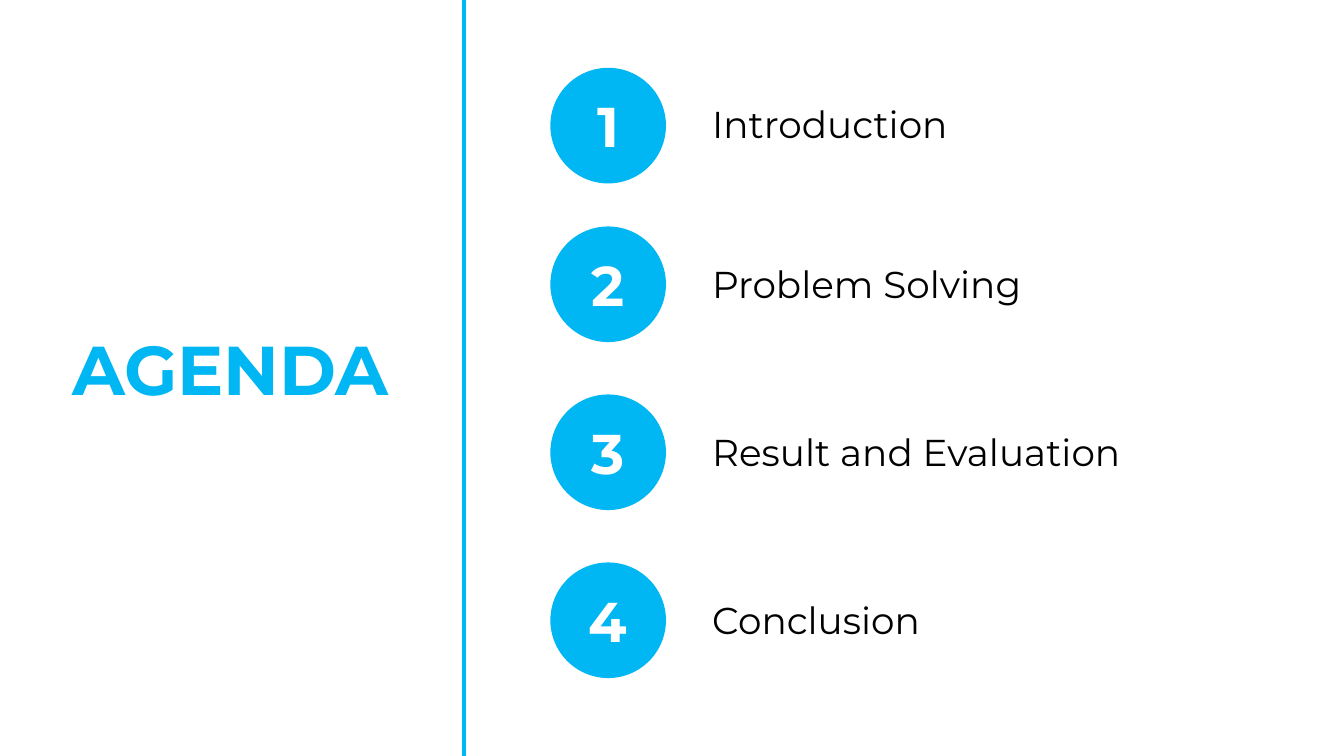
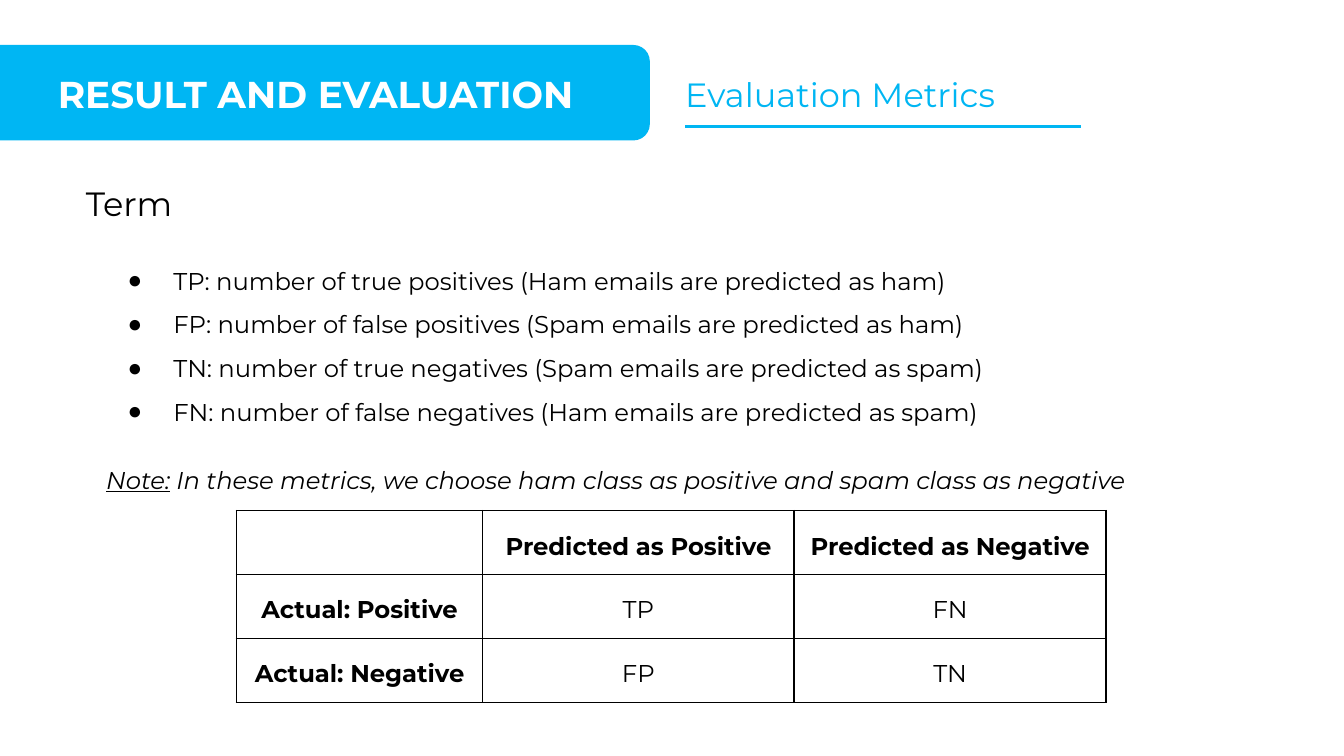
from lxml import etree
from pptx import Presentation
from pptx import util as u
from pptx.dml.color import RGBColor
from pptx.enum import shapes, text
from pptx.oxml.ns import qn

FONT = "Montserrat"
BLUE, WHITE, BLACK = "00B6F3", "FFFFFF", "000000"
LEFT, CENTER, JUSTIFY = text.PP_ALIGN.LEFT, text.PP_ALIGN.CENTER, text.PP_ALIGN.JUSTIFY
TITLE_ONLY, TITLE_AND_CONTENT = 5, 1
SLIDE_WIDTH = 10
SLIDE_HEIGHT = SLIDE_WIDTH * 9 / 16

# topic, top of its circle, top of its label
AGENDA = [
    ("Introduction", 0.51, 0.65),
    ("Problem Solving", 1.69, 1.84),
    ("Result and Evaluation", 2.94, 3.09),
    ("Conclusion", 4.19, 4.34),
]
TERMS = [
    "TP: number of true positives (Ham emails are predicted as ham)",
    "FP: number of false positives (Spam emails are predicted as ham)",
    "TN: number of true negatives (Spam emails are predicted as spam)",
    "FN: number of false negatives (Ham emails are predicted as spam)",
]
NOTE = " In these metrics, we choose ham class as positive and spam class as negative"
CONFUSION_MATRIX = [
    ["", "Predicted as Positive", "Predicted as Negative"],
    ["Actual: Positive", "TP", "FN"],
    ["Actual: Negative", "FP", "TN"],
]


def rgb(color):
    return RGBColor.from_string(color)


def set_values(target, values):
    for name, value in values.items():
        setattr(target, name, value)


def add_run(paragraph, words, size, color=BLACK, **font_values):
    run = paragraph.add_run()
    run.text = words
    set_values(run.font, {"name": FONT, "size": u.Pt(size), **font_values})
    run.font.color.rgb = rgb(color)


def format_paragraph(paragraph, alignment=LEFT, line_spacing=1.0, space_before=0):
    set_values(paragraph, {
        "alignment": alignment,
        "line_spacing": line_spacing,
        "space_before": u.Pt(space_before),
    })


def place(shape, left, top, width, height):
    set_values(shape, {
        "left": u.Inches(left), "top": u.Inches(top),
        "width": u.Inches(width), "height": u.Inches(height),
    })


def prepare_frame(shape, anchor=text.MSO_ANCHOR.TOP):
    margins = ("margin_left", "margin_right", "margin_top", "margin_bottom")
    set_values(shape.text_frame, {
        "word_wrap": True,
        "auto_size": text.MSO_AUTO_SIZE.NONE,
        "vertical_anchor": anchor,
        **dict.fromkeys(margins, u.Inches(0.1)),
    })
    return shape.text_frame


def write_line(shape, words, size, color=BLACK, alignment=LEFT, **font_values):
    paragraph = prepare_frame(shape).paragraphs[0]
    format_paragraph(paragraph, alignment)
    add_run(paragraph, words, size, color, **font_values)


def add_label(slide, box, words, size, color=BLACK):
    label = slide.shapes.add_textbox(*map(u.Inches, box))
    write_line(label, words, size, color)


def add_title(slide, box, words, size, color, alignment=LEFT):
    title = slide.shapes.title
    place(title, *box)
    write_line(title, words, size, color, alignment, bold=True)
    return title


def add_blue_shape(slide, kind, box):
    shape = slide.shapes.add_shape(kind, *map(u.Inches, box))
    shape.shadow.inherit = False
    shape.fill.solid()
    shape.fill.fore_color.rgb = rgb(BLUE)
    shape.line.color.rgb = rgb(BLUE)
    shape.line.width = u.Pt(0.75)
    return shape


def add_blue_line(slide, start, end, width):
    line = slide.shapes.add_connector(
        shapes.MSO_CONNECTOR.STRAIGHT, *map(u.Inches, (*start, *end)))
    line.line.color.rgb = rgb(BLUE)
    line.line.width = u.Pt(width)
    etree.SubElement(line.element.spPr, qn("a:effectLst"))


def add_numbered_circle(slide, number, top):
    circle = add_blue_shape(slide, shapes.MSO_SHAPE.OVAL, (4.1, top, 0.85, 0.85))
    paragraph = prepare_frame(circle, text.MSO_ANCHOR.MIDDLE).paragraphs[0]
    format_paragraph(paragraph, CENTER)
    add_run(paragraph, str(number), 30, WHITE, bold=True)


def set_bullet(paragraph, character=None):
    """Give the paragraph a hanging bullet, or none at all."""
    properties = paragraph._p.get_or_add_pPr()
    margin, indent = (0.5, -0.34) if character else (0, 0)
    properties.set("marL", str(u.Inches(margin)))
    properties.set("indent", str(u.Inches(indent)))
    if character:
        color = etree.SubElement(properties, qn("a:buClr"))
        etree.SubElement(color, qn("a:srgbClr"), val=BLACK)
        etree.SubElement(properties, qn("a:buChar"), char=character)
    else:
        etree.SubElement(properties, qn("a:buNone"))


def fill_terms(body):
    place(body, 0.69, 1.77, 8.75, 2.26)
    frame = prepare_frame(body)
    for index, term in enumerate(TERMS):
        paragraph = frame.add_paragraph() if index else frame.paragraphs[0]
        format_paragraph(paragraph, JUSTIFY, 1.5)
        set_bullet(paragraph, "●")
        add_run(paragraph, term, 13)
    note = frame.add_paragraph()
    format_paragraph(note, JUSTIFY, 1.5, space_before=13)
    set_bullet(note)
    add_run(note, "Note:", 13, italic=True, underline=True)
    add_run(note, NOTE, 13, italic=True)


def set_cell_borders(cell, width=1):
    properties = cell._tc.get_or_add_tcPr()
    for side in ("a:lnL", "a:lnR", "a:lnT", "a:lnB"):
        border = etree.SubElement(properties, qn(side), w=str(u.Pt(width)))
        fill = etree.SubElement(border, qn("a:solidFill"))
        etree.SubElement(fill, qn("a:srgbClr"), val=BLACK)


def add_matrix_table(slide, left, top, column_widths, row_height):
    row_count = len(CONFUSION_MATRIX)
    box = (left, top, sum(column_widths), row_height * row_count)
    table = slide.shapes.add_table(
        row_count, len(column_widths), *map(u.Inches, box)).table
    set_values(table, {"first_row": False, "horz_banding": False})
    for column, width in zip(table.columns, column_widths):
        column.width = u.Inches(width)
    for row_index, row in enumerate(CONFUSION_MATRIX):
        table.rows[row_index].height = u.Inches(row_height)
        for column_index, words in enumerate(row):
            cell = table.cell(row_index, column_index)
            set_cell_borders(cell)
            cell.fill.background()
            set_values(cell, {
                "margin_left": u.Inches(0.07), "margin_right": u.Inches(0.07),
                "margin_top": u.Inches(0.1), "margin_bottom": u.Inches(0.1),
            })
            paragraph = cell.text_frame.paragraphs[0]
            format_paragraph(paragraph, CENTER, 1.25)
            if words:
                is_header = row_index == 0 or column_index == 0
                add_run(paragraph, words, 13, bold=is_header)
            else:
                etree.SubElement(paragraph._p, qn("a:endParaRPr"), sz="1300")


def add_banner_title(slide, words):
    banner = add_blue_shape(
        slide, shapes.MSO_SHAPE.ROUNDED_RECTANGLE, (-0.18, 0.34, 5.01, 0.7))
    banner.adjustments[0] = 0.167
    title = add_title(slide, (0.33, 0.43, 4.62, 0.54), words, 20, WHITE)
    banner.element.addnext(title.element)  # keeps the title in front of the banner


def build_agenda(presentation):
    slide = presentation.slides.add_slide(presentation.slide_layouts[TITLE_ONLY])
    add_blue_line(slide, (3.45, -0.01), (3.45, 5.64), 2.25)
    add_title(slide, (0.36, 2.33, 2.71, 0.82), "AGENDA", 37, BLUE, CENTER)
    for number, (topic, circle_top, label_top) in enumerate(AGENDA, start=1):
        add_numbered_circle(slide, number, circle_top)
        add_label(slide, (5.2, label_top, 4.5, 0.54), topic, 20)


def build_metrics(presentation):
    slide = presentation.slides.add_slide(presentation.slide_layouts[TITLE_AND_CONTENT])
    add_banner_title(slide, "RESULT AND EVALUATION")
    add_label(slide, (5, 0.45, 4.62, 0.5), "Evaluation Metrics", 18, BLUE)
    add_blue_line(slide, (5.1, 0.94), (8.04, 0.94), 1.5)
    add_label(slide, (0.54, 1.26, 5.93, 0.5), "Term", 18)
    fill_terms(slide.placeholders[1])
    add_matrix_table(slide, 1.76, 3.8, (1.83, 2.32, 2.32), 0.47)


def main():
    presentation = Presentation()
    set_values(presentation, {
        "slide_width": u.Inches(SLIDE_WIDTH),
        "slide_height": u.Inches(SLIDE_HEIGHT),
    })
    build_agenda(presentation)
    build_metrics(presentation)
    presentation.save("out.pptx")


if __name__ == "__main__":
    main()
